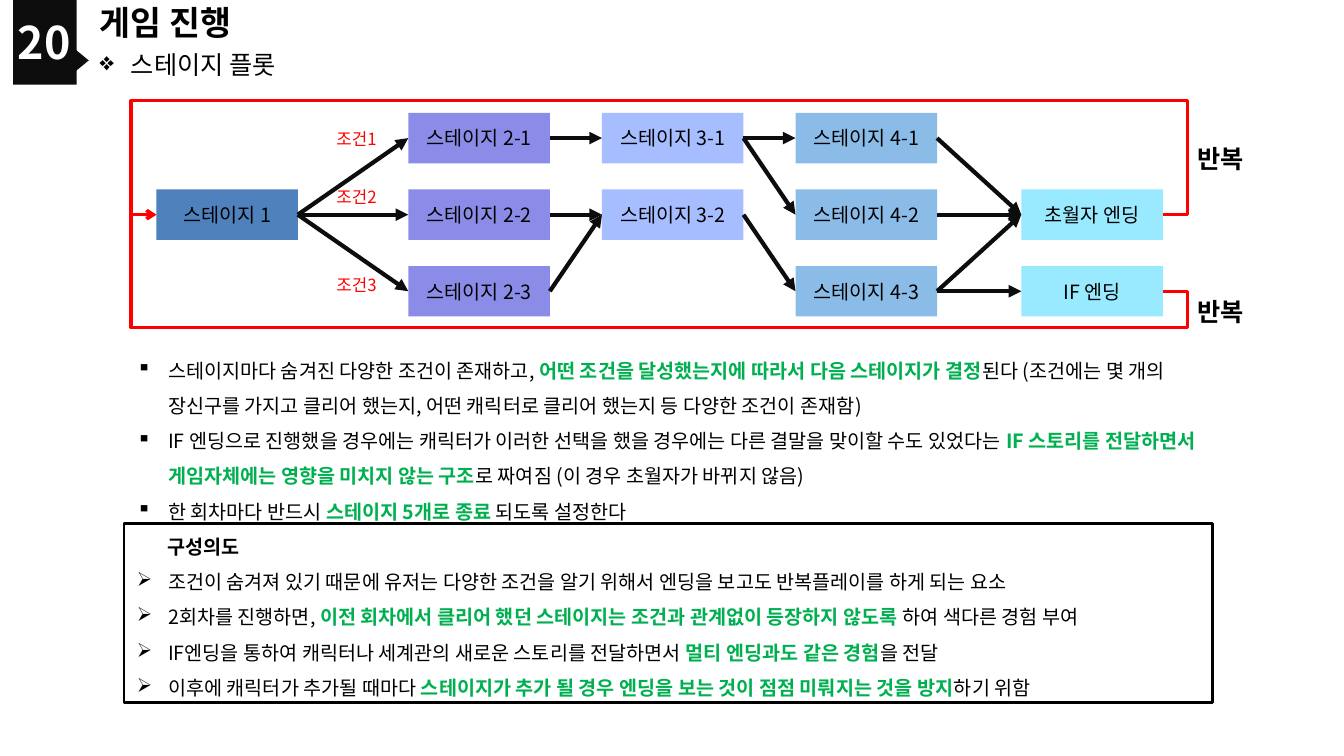
from lxml.etree import SubElement
from pptx import Presentation
from pptx.dml.color import RGBColor
from pptx.enum.shapes import MSO_CONNECTOR, MSO_SHAPE
from pptx.enum.text import MSO_ANCHOR, MSO_AUTO_SIZE, PP_ALIGN
from pptx.oxml.ns import qn
from pptx.util import Inches, Pt

INK = RGBColor(0x0D, 0x0D, 0x0D)
BLACK = RGBColor(0, 0, 0)
WHITE = RGBColor(255, 255, 255)
RED = RGBColor(255, 0, 0)
GREEN = RGBColor(0, 0xB0, 0x50)
STAGE_COLORS = [
    RGBColor(0x4F, 0x81, 0xBD),
    RGBColor(0x8B, 0x8C, 0xE8),
    RGBColor(0xA6, 0xBE, 0xFF),
    RGBColor(0x8B, 0xBC, 0xE8),
    RGBColor(0x99, 0xEA, 0xFF),
]

# All positions and sizes are percentages of the slide's width and height.
STAGE_LEFTS = [11.63, 30.38, 44.79, 59.19, 75.99]
STAGE_WIDTH, STAGE_HEIGHT = 10.53, 6.67
ROW_CENTERS = [18.27 + 10.13 * row for row in range(3)]
LOOP_LEFT, LOOP_RIGHT, LOOP_TOP, LOOP_BOTTOM = 9.75, 88.37, 13.33, 43.33

STAGES = {
    "스테이지 1": (0, 1),
    "스테이지 2-1": (1, 0), "스테이지 2-2": (1, 1), "스테이지 2-3": (1, 2),
    "스테이지 3-1": (2, 0), "스테이지 3-2": (2, 1),
    "스테이지 4-1": (3, 0), "스테이지 4-2": (3, 1), "스테이지 4-3": (3, 2),
    "초월자 엔딩": (4, 1), "IF 엔딩": (4, 2),
}
ROUTES = {
    "스테이지 1": ["스테이지 2-1", "스테이지 2-2", "스테이지 2-3"],
    "스테이지 2-1": ["스테이지 3-1"],
    "스테이지 2-2": ["스테이지 3-2"],
    "스테이지 2-3": ["스테이지 3-2"],
    "스테이지 3-1": ["스테이지 4-1", "스테이지 4-2"],
    "스테이지 3-2": ["스테이지 4-3"],
    "스테이지 4-1": ["초월자 엔딩"],
    "스테이지 4-2": ["초월자 엔딩"],
    "스테이지 4-3": ["초월자 엔딩", "IF 엔딩"],
}
CONDITIONS = {"조건1": 16.4, "조건2": 24, "조건3": 35.73}

# Text between bars is emphasised.
RULES = [
    "스테이지마다 숨겨진 다양한 조건이 존재하고, |어떤 조건을 달성했는지에 따라서 다음 스테이지가 결정|"
    "된다 (조건에는 몇 개의 장신구를 가지고 클리어 했는지, 어떤 캐릭터로 클리어 했는지 등 다양한 조건이 존재함)",
    "IF 엔딩으로 진행했을 경우에는 캐릭터가 이러한 선택을 했을 경우에는 다른 결말을 맞이할 수도 있었다는 "
    "|IF 스토리를 전달하면서 게임자체에는 영향을 미치지 않는 구조|로 짜여짐 (이 경우 초월자가 바뀌지 않음)",
    "한 회차마다 반드시 |스테이지 5개로 종료| 되도록 설정한다",
]
INTENTIONS = [
    "조건이 숨겨져 있기 때문에 유저는 다양한 조건을 알기 위해서 엔딩을 보고도 반복플레이를 하게 되는 요소",
    "2회차를 진행하면, |이전 회차에서 클리어 했던 스테이지는 조건과 관계없이 등장하지 않도록 |하여 색다른 경험 부여",
    "IF엔딩을 통하여 캐릭터나 세계관의 새로운 스토리를 전달하면서 |멀티 엔딩과도 같은 경험|을 전달",
    "이후에 캐릭터가 추가될 때마다 |스테이지가 추가 될 경우 엔딩을 보는 것이 점점 미뤄지는 것을 방지|하기 위함",
]


def write(paragraph, text, font, size=14, color=BLACK, bold=False,
          align=PP_ALIGN.LEFT, bullet=None, indent=0, spacing=None):
    """Fill a paragraph; every second part between bars is bold green."""
    properties = paragraph._p.get_or_add_pPr()
    if bullet:
        properties.set("marL", str(Inches(0.31)))
        properties.set("indent", str(-Inches(0.31)))
        SubElement(properties, qn("a:buChar")).set("char", bullet)
    elif indent:
        properties.set("indent", str(Inches(indent)))
    paragraph.alignment = align
    if spacing:
        paragraph.line_spacing = spacing
    for index, part in enumerate(text.split("|")):
        emphasised = index % 2 == 1
        run = paragraph.add_run()
        run.text = part
        run.font.name = font
        run.font.size = Pt(size)
        run.font.bold = bold or emphasised
        run.font.color.rgb = GREEN if emphasised else color
        SubElement(run._r.get_or_add_rPr(), qn("a:ea")).set("typeface", font)


class SlideBuilder:
    def __init__(self, presentation, font):
        self.width = presentation.slide_width
        self.height = presentation.slide_height
        self.slide = presentation.slides.add_slide(presentation.slide_layouts[6])
        self.font = font

    def x(self, share):
        return round(self.width * share / 100)

    def y(self, share):
        return round(self.height * share / 100)

    def area(self, left, top, width, height):
        return self.x(left), self.y(top), self.x(width), self.y(height)

    def shape(self, area, fill=None, line=None, kind=MSO_SHAPE.RECTANGLE, text=None):
        shape = self.slide.shapes.add_shape(kind, *self.area(*area))
        shape.shadow.inherit = False
        if fill is None:
            shape.fill.background()
        else:
            shape.fill.solid()
            shape.fill.fore_color.rgb = fill
        if line is None:
            shape.line.fill.background()
        else:
            shape.line.color.rgb = line
            shape.line.width = Pt(2)
        if text:
            shape.text_frame.vertical_anchor = MSO_ANCHOR.MIDDLE
            write(shape.text_frame.paragraphs[0], text, self.font, align=PP_ALIGN.CENTER)
        return shape

    def text(self, area, entries, anchor=MSO_ANCHOR.TOP, wrap=True, grow=False):
        """Add a text box; entries are pairs of text and format."""
        frame = self.slide.shapes.add_textbox(*self.area(*area)).text_frame
        frame.word_wrap = wrap
        frame.vertical_anchor = anchor
        frame.auto_size = MSO_AUTO_SIZE.SHAPE_TO_FIT_TEXT if grow else MSO_AUTO_SIZE.NONE
        for index, (text, style) in enumerate(entries):
            paragraph = frame.add_paragraph() if index else frame.paragraphs[0]
            write(paragraph, text, self.font, **style)

    def style_arrow(self, shape, color, width, head):
        shape.line.color.rgb = color
        shape.line.width = Pt(width)
        SubElement(shape.line._get_or_add_ln(), qn("a:tailEnd")).set("type", head)

    def arrow(self, start, end):
        connector = self.slide.shapes.add_connector(
            MSO_CONNECTOR.STRAIGHT, self.x(start[0]), self.y(start[1]),
            self.x(end[0]), self.y(end[1]))
        self.style_arrow(connector, INK, 3, "triangle")
        SubElement(connector._element.spPr, qn("a:effectLst"))

    def loop(self, points):
        corners = [(self.x(left), self.y(top)) for left, top in points]
        builder = self.slide.shapes.build_freeform(*corners[0])
        builder.add_line_segments(corners[1:], close=False)
        outline = builder.convert_to_shape()
        outline.shadow.inherit = False
        outline.fill.background()
        self.style_arrow(outline, RED, 2.25, "arrow")


def stage_side(name, right=False):
    column, row = STAGES[name]
    return STAGE_LEFTS[column] + (STAGE_WIDTH if right else 0), ROW_CENTERS[row]


def add_header(builder):
    middle = MSO_ANCHOR.MIDDLE
    builder.shape((0.98, 0, 4.72, 11.2), INK)
    builder.shape((4.43, 6.53, 2.7, 2.93), INK,
                  kind=MSO_SHAPE.ISOSCELES_TRIANGLE).rotation = 90
    number = dict(size=32, color=WHITE, bold=True, align=PP_ALIGN.CENTER)
    builder.text((0, 0, 6.6, 10.93), [("20", number)], middle)
    builder.text((6.68, 0, 55.21, 5.87), [("게임 진행", dict(size=24, bold=True))], middle)
    builder.text((6.68, 6.13, 55.21, 4.8),
                 [("스테이지 플롯", dict(size=18, bullet="❖"))], middle)


def add_flow(builder):
    for name, (column, row) in STAGES.items():
        top = ROW_CENTERS[row] - STAGE_HEIGHT / 2
        builder.shape((STAGE_LEFTS[column], top, STAGE_WIDTH, STAGE_HEIGHT),
                      STAGE_COLORS[column], text=name)
    for source, targets in ROUTES.items():
        for target in targets:
            builder.arrow(stage_side(source, right=True), stage_side(target))
    condition = dict(size=12, color=RED, align=PP_ALIGN.CENTER)
    for label, top in CONDITIONS.items():
        builder.text((24.16, top, 4.73, 4), [(label, condition)], wrap=False, grow=True)
    first = stage_side("스테이지 1")
    for ending, edge, row in (("초월자 엔딩", LOOP_TOP, 0), ("IF 엔딩", LOOP_BOTTOM, 2)):
        start = stage_side(ending, right=True)
        builder.loop([start, (LOOP_RIGHT, start[1]), (LOOP_RIGHT, edge),
                      (LOOP_LEFT, edge), (LOOP_LEFT, first[1]), first])
        builder.text((LOOP_RIGHT, ROW_CENTERS[row], 5.33, 5.33),
                     [("반복", dict(size=18, bold=True))], wrap=False, grow=True)


def add_explanation(builder):
    entries = [(text, dict(bullet="▪", spacing=1.5)) for text in RULES]
    entries.append(("구성의도", dict(bold=True, indent=0.3, spacing=1.5)))
    entries += [(text, dict(bullet="➢", spacing=1.5)) for text in INTENTIONS]
    builder.text((9.45, 45.2, 80.8, 48.53), entries, grow=True)
    builder.shape((9.23, 69.2, 81.02, 23.73), line=BLACK)


def main():
    presentation = Presentation()
    presentation.slide_width, presentation.slide_height = Inches(13.33), Inches(7.5)
    builder = SlideBuilder(presentation, "Noto Sans CJK KR")
    add_header(builder)
    add_flow(builder)
    add_explanation(builder)
    presentation.save("out.pptx")


if __name__ == "__main__":
    main()
